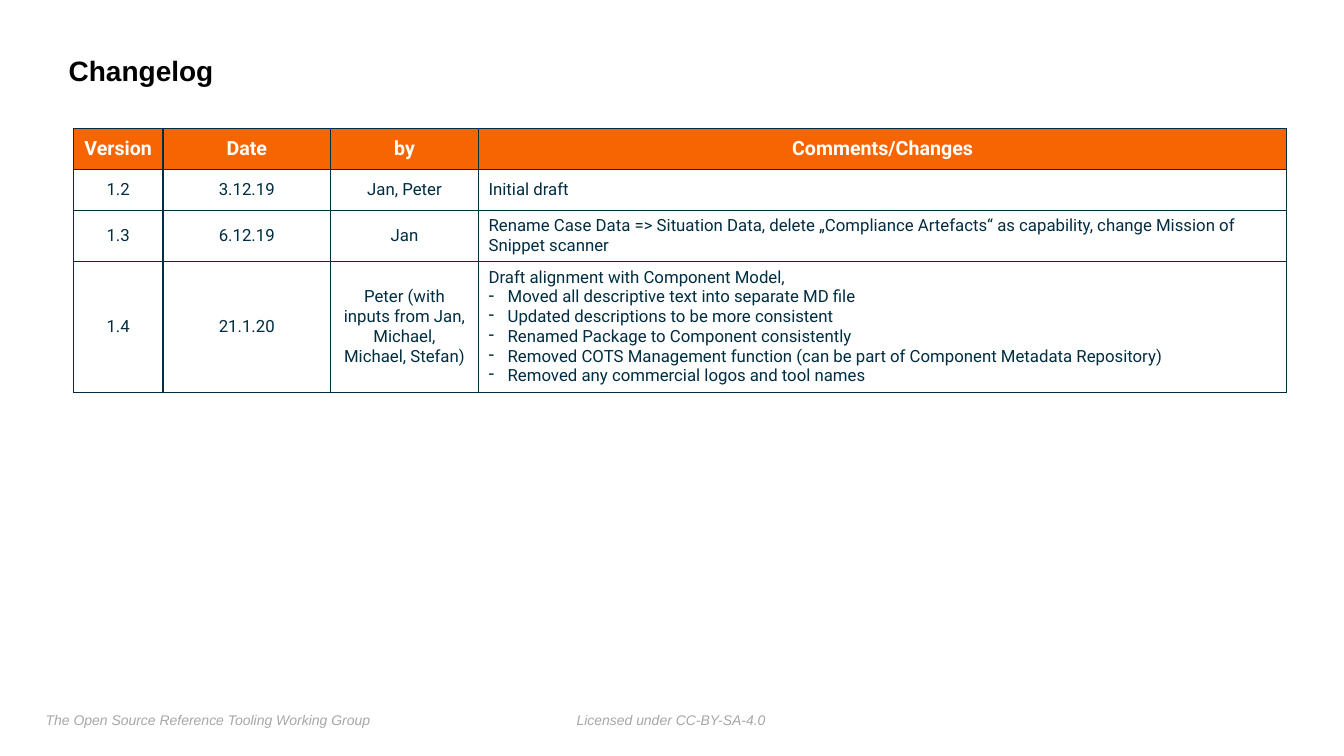
from lxml.etree import SubElement as Sub
from pptx import Presentation
from pptx.dml.color import RGBColor
from pptx.enum.text import MSO_ANCHOR as Anchor, PP_ALIGN as Align
from pptx.oxml.ns import qn
from pptx.util import Cm, Pt

NAVY = RGBColor(0x00, 0x2D, 0x41)
ORANGE = RGBColor(0xF7, 0x65, 0x03)
WHITE = RGBColor(0xFF, 0xFF, 0xFF)
BLACK = RGBColor(0x00, 0x00, 0x00)
GREY = RGBColor(0xA7, 0xA7, 0xA7)

COLS = [2.26, 4.22, 3.73, 20.37]
ROWS = [1.04, 1.04, 1.27, 3.25]
HEADS = ["Version", "Date", "by", "Comments/Changes"]
LOG = [
    ("1.2", "3.12.19", "Jan, Peter", ["Initial draft"]),
    ("1.3", "6.12.19", "Jan", [
        "Rename Case Data => Situation Data, delete „Compliance Artefacts“ "
        "as capability, change Mission of Snippet scanner"]),
    ("1.4", "21.1.20",
     "Peter (with inputs from Jan, Michael, Michael, Stefan)", [
         "Draft alignment with Component Model,",
         "Moved all descriptive text into separate MD file",
         "Updated descriptions to be more consistent",
         "Renamed Package to Component consistently",
         "Removed COTS Management function "
         "(can be part of Component Metadata Repository)",
         "Removed any commercial logos and tool names"]),
]


def write(para, text, size=12, font="Roboto", color=NAVY, bold=False,
          italic=False, align=Align.LEFT, dash=False):
    """Put formatted text into a paragraph, with a dash bullet if asked."""
    para.alignment = align
    run = para.add_run()
    run.text = text
    face = run.font
    face.name, face.size = font, Pt(size)
    face.bold, face.italic = bold, italic
    face.color.rgb = color
    if dash:
        props = para._p.get_or_add_pPr()
        props.set("marL", str(Cm(0.48)))
        props.set("indent", str(Cm(-0.48)))
        Sub(props, qn("a:buChar"), char="-")


def label(slide, box, text, wrap=False, anchor=Anchor.TOP, space=1.0, **style):
    """Add a text box with narrow margins."""
    frame = slide.shapes.add_textbox(*map(Cm, box)).text_frame
    frame.margin_left = frame.margin_right = Cm(0.13)
    frame.margin_top = frame.margin_bottom = Cm(0.13)
    frame.word_wrap, frame.vertical_anchor = wrap, anchor
    para = frame.paragraphs[0]
    para.line_spacing = space
    write(para, text, font="Arial", **style)


def outline(cell):
    """Draw all four borders of a cell."""
    props = cell._tc.get_or_add_tcPr()
    for side in "LRTB":
        line = Sub(props, qn("a:ln" + side), w=str(Pt(1)))
        fill = Sub(line, qn("a:solidFill"))
        Sub(fill, qn("a:srgbClr"), val=str(NAVY))


def fill_cell(cell, lines, back=None, **style):
    """Set borders, fill and text lines of a cell."""
    outline(cell)
    if back is None:
        cell.fill.background()
    else:
        cell.fill.solid()
        cell.fill.fore_color.rgb = back
    cell.vertical_anchor = Anchor.MIDDLE
    frame = cell.text_frame
    for i, text in enumerate(lines):
        para = frame.add_paragraph() if i else frame.paragraphs[0]
        write(para, text, dash=i > 0, **style)


def log_table(slide, left, top):
    """Build the changelog table from its top left corner."""
    size = map(Cm, (left, top, sum(COLS), sum(ROWS)))
    table = slide.shapes.add_table(len(ROWS), len(COLS), *size).table
    table.horz_banding = False
    for col, width in zip(table.columns, COLS):
        col.width = Cm(width)
    for row, height in zip(table.rows, ROWS):
        row.height = Cm(height)
    for c, head in enumerate(HEADS):
        fill_cell(table.cell(0, c), [head], ORANGE, size=14, color=WHITE,
                  bold=True, align=Align.CENTER)
    for r, (*facts, notes) in enumerate(LOG, 1):
        for c, fact in enumerate(facts):
            fill_cell(table.cell(r, c), [fact], align=Align.CENTER)
        fill_cell(table.cell(r, len(facts)), notes)


def footer(slide, top):
    """Place the two footer notes on one line."""
    notes = [(1.02, 8.48, "The Open Source Reference Tooling Working Group"),
             (14.4, 5.05, "Licensed under CC-BY-SA-4.0")]
    for left, width, text in notes:
        label(slide, (left, top, width, 0.64), text, size=10, color=GREY,
              italic=True)


def main():
    """Build and save the slide."""
    deck = Presentation()
    deck.slide_width, deck.slide_height = Cm(33.87), Cm(19.05)
    slide = deck.slides.add_slide(deck.slide_layouts[6])
    label(slide, (1.6, 0.99, 27.3, 1.65), "Changelog", wrap=True,
          anchor=Anchor.MIDDLE, space=0.9, size=20, color=BLACK, bold=True)
    log_table(slide, 1.85, 3.23)
    footer(slide, 17.8)
    deck.save("out.pptx")


main()
